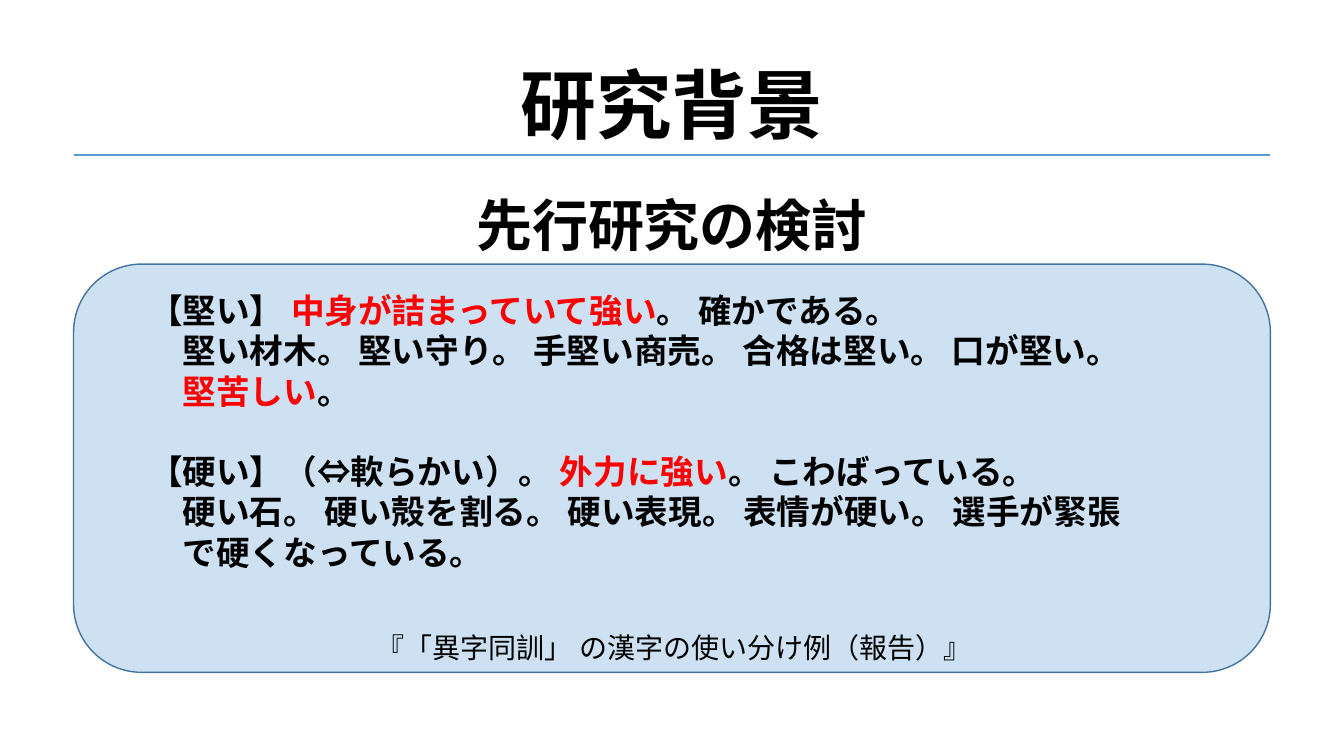
import pptx
import pptx.util
import pptx.dml.color
import pptx.enum.shapes
import pptx.enum.text
import pptx.oxml
import pptx.oxml.ns

# Content: each line is a list of (text, colour) parts
TITLE = "研究背景"
SUBTITLE = "先行研究の検討"
SOURCE = "『「異字同訓」 の漢字の使い分け例（報告）』"
ENTRIES = [
    {"meaning": [("【堅い】 ", "text"), ("中身が詰まっていて強い", "key"),
                 ("。 確かである。", "text")],
     "examples": [("堅い材木。 堅い守り。 手堅い商売。 合格は堅い。 口が堅い。\v", "text"),
                  ("堅苦しい", "key"), ("。", "text")]},
    {"meaning": [("【硬い】（⇔軟らかい）。 ", "text"), ("外力に強い", "key"),
                 ("。 こわばっている。", "text")],
     "examples": [("硬い石。 硬い殻を割る。 硬い表現。 表情が硬い。 選手が緊張\v"
                   "で硬くなっている。", "text")]},
]

COLOURS = {"text": "000000", "key": "FF0000", "rule": "5B9BD5",
           "panel": "BDD7EE", "edge": "43739E"}
FONT = "Noto Sans CJK JP"
WIDTH, HEIGHT = 13.33, 7.5
MARGIN = 0.73
CONTENT = WIDTH - 2 * MARGIN
RULE_TOP = 1.54
PANEL_TOP, PANEL_HEIGHT = 2.62, 4.05
SOURCE_HEIGHT = 0.56
BODY_SIZE = 24
BODY_LINE = 1.2 * BODY_SIZE

Inches, Pt = pptx.util.Inches, pptx.util.Pt
ANCHOR = pptx.enum.text.MSO_ANCHOR
CENTER = pptx.enum.text.PP_ALIGN.CENTER


def colour(name):
    return pptx.dml.color.RGBColor.from_string(COLOURS[name])


def add_box(left, top, width, height, anchor):
    box = page.shapes.add_textbox(*map(Inches, (left, top, width, height)))
    box.text_frame.word_wrap = True
    box.text_frame.vertical_anchor = anchor
    return box.text_frame


def write(para, parts, size, bold):
    para.font.size, para.font.bold, para.font.name = Pt(size), bold, FONT
    for text, name in parts:
        for index, piece in enumerate(text.split("\v")):
            if index:
                para.add_line_break()
            if piece:
                span = para.add_run()
                span.text = piece
                span.font.color.rgb = colour(name)
                # East Asian typeface
                face = pptx.oxml.ns.qn("a:ea")
                span.font._element.makeelement(face)
                span.font.name = FONT
                span._r.get_or_add_rPr().append(
                    span._r.makeelement(face, {"typeface": FONT}))


def add_heading(text, place, anchor, size, bold, spacing=None):
    para = add_box(*place, anchor).paragraphs[0]
    para.alignment = CENTER
    para.line_spacing = spacing
    write(para, [(text, "text")], size, bold)


deck = pptx.Presentation()
deck.slide_width, deck.slide_height = Inches(WIDTH), Inches(HEIGHT)
page = deck.slides.add_slide(deck.slide_layouts[6])

# Title, rule and subtitle
add_heading(TITLE, (MARGIN, 0.55, CONTENT, 0.97), ANCHOR.BOTTOM, 54, True)
rule = page.shapes.add_connector(
    pptx.enum.shapes.MSO_CONNECTOR.STRAIGHT,
    *map(Inches, (MARGIN, RULE_TOP, MARGIN + CONTENT, RULE_TOP)))
rule.line.color.rgb, rule.line.width = colour("rule"), Pt(1.5)
rule._element.spPr.append(pptx.oxml.parse_xml(
    "<a:effectLst %s/>" % pptx.oxml.ns.nsdecls("a")))
add_heading(SUBTITLE, (MARGIN, 1.71, CONTENT, 0.91), ANCHOR.TOP, 40, True, 1.2)

# Translucent panel
panel = page.shapes.add_shape(
    pptx.enum.shapes.MSO_SHAPE.ROUNDED_RECTANGLE,
    *map(Inches, (MARGIN, PANEL_TOP, CONTENT, PANEL_HEIGHT)))
panel.shadow.inherit = False
panel.fill.solid()
panel.fill.fore_color.rgb = colour("panel")
tint = panel._element.spPr.find(".//" + pptx.oxml.ns.qn("a:srgbClr"))
tint.append(tint.makeelement(pptx.oxml.ns.qn("a:alpha"), {"val": "75000"}))
panel.line.color.rgb, panel.line.width = colour("edge"), Pt(1)

# Source at the foot of the panel
add_heading(SOURCE, (3.39, PANEL_TOP + PANEL_HEIGHT - SOURCE_HEIGHT, 6.6, SOURCE_HEIGHT),
            ANCHOR.MIDDLE, 20, False, 1.2)

# Dictionary entries, with examples indented by one character
frame = add_box(1.38, 2.79, 10.62, 2.97, ANCHOR.MIDDLE)
for number, entry in enumerate(ENTRIES):
    meaning = frame.add_paragraph() if number else frame.paragraphs[0]
    if number:
        meaning.space_before = Pt(BODY_LINE)
    write(meaning, entry["meaning"], BODY_SIZE, True)
    examples = frame.add_paragraph()
    examples._p.get_or_add_pPr().set("marL", str(Pt(BODY_SIZE)))
    examples._p.get_or_add_pPr().set("indent", "0")
    write(examples, entry["examples"], BODY_SIZE, True)

deck.save("out.pptx")
